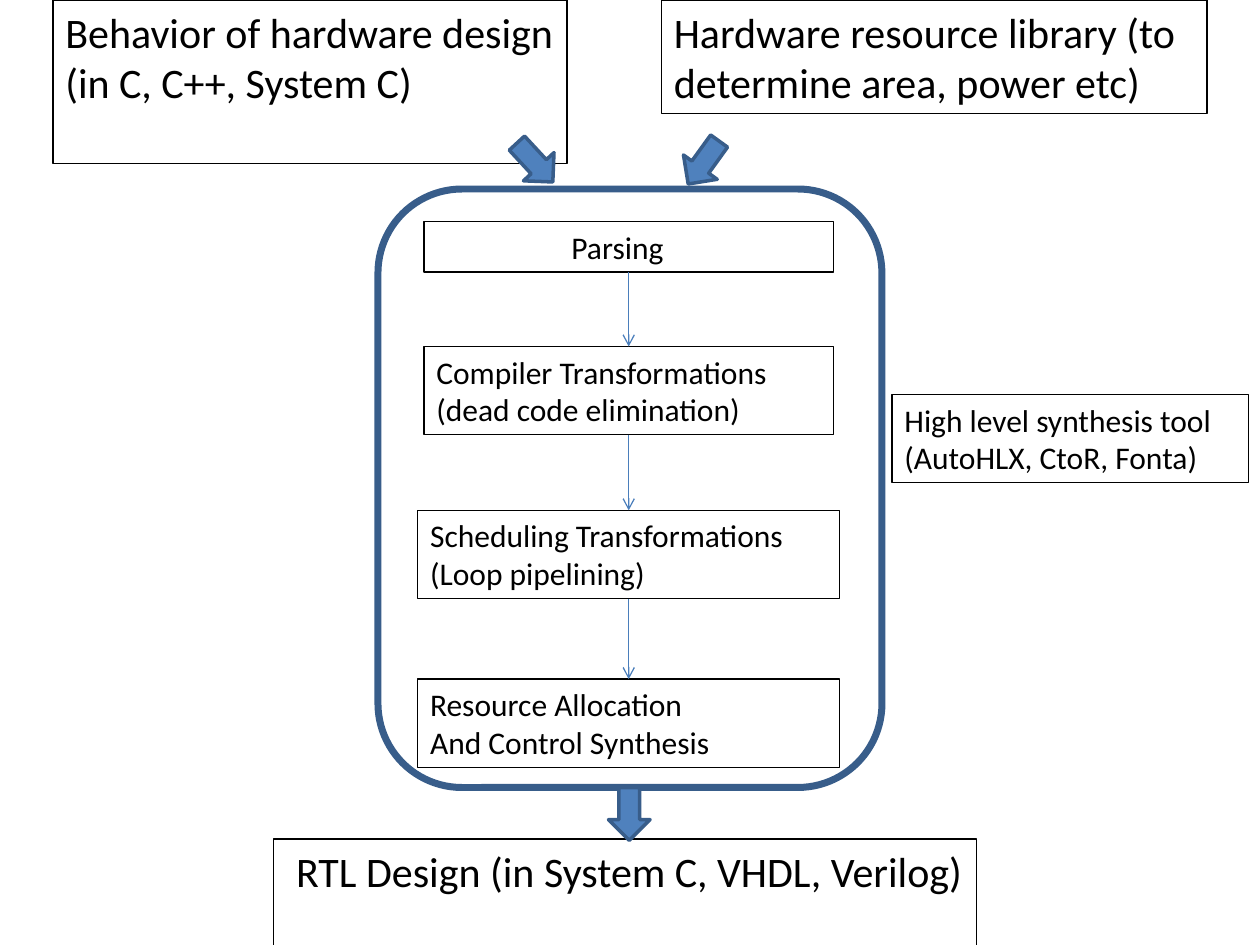
import pptx
import pptx.util
from lxml import etree
from pptx.dml.color import RGBColor
from pptx.enum.shapes import MSO_CONNECTOR, MSO_SHAPE
from pptx.enum.text import MSO_ANCHOR, PP_ALIGN
from pptx.oxml.ns import qn

Inches, Pt = pptx.util.Inches, pptx.util.Pt

COLORS = {"ink": "000000", "frame": "385D8A", "arrow": "4F81BD", "link": "4A7EBB"}
FONT = "Calibri"
W, H = 10, 7.5
AXIS = 4.99  # centre of the flow of steps
FRAME = (0.3 * W, 0.2 * H, 0.4 * W, 4.75)

# lines, (left, top, width, height), text size, left indent
NOTES = [
    (["Behavior of hardware design", "(in C, C++, System C)"], (0.42, 0, 4.08, 1.3), 24, 0),
    (["Hardware resource library (to determine area, power etc)"], (5.25, 0, 4.33, 0.9), 24, 0),
    (["High level synthesis tool (AutoHLX, CtoR, Fonta)"], (7.08, 3.13, 2.83, 0.7), 18, 0),
    (["RTL Design (in System C, VHDL, Verilog)"], (2.17, 6.66, 5.58, 0.9), 24, 0.08),
]
# lines, top, width, height, left indent
STEPS = [
    (["Parsing"], 1.76, 3.25, 0.4, 1.07),
    (["Compiler Transformations", "(dead code elimination)"], 2.75, 3.25, 0.7, 0),
    (["Scheduling Transformations", "(Loop pipelining)"], 4.05, 3.35, 0.7, 0),
    (["Resource Allocation", "And Control Synthesis"], 5.39, 3.35, 0.7, 0),
]
# left, top, rotation
BLOCK_ARROWS = [(4.08, 1.08, 317.3), (5.42, 1.08, 35.8), (4.83, 6.25, 0)]


def color(name):
    return RGBColor.from_string(COLORS[name])


def add_shape(slide, kind, box, line, width, fill=None):
    sp = slide.shapes.add_shape(kind, *map(Inches, box))
    sp.shadow.inherit = False
    if fill:
        sp.fill.solid()
        sp.fill.fore_color.rgb = color(fill)
    else:
        sp.fill.background()
    sp.line.color.rgb = color(line)
    sp.line.width = Pt(width)
    return sp


def add_box(slide, lines, box, size, indent):
    sp = add_shape(slide, MSO_SHAPE.RECTANGLE, box, "ink", 0.75)
    tf = sp.text_frame
    tf.word_wrap = True
    tf.vertical_anchor = MSO_ANCHOR.TOP
    tf.margin_left = Inches(0.1 + indent)
    tf.text = "\n".join(lines)
    for p in tf.paragraphs:
        p.alignment = PP_ALIGN.LEFT
        p.font.name, p.font.size = FONT, Pt(size)
        p.font.color.rgb = color("ink")


def add_link(slide, top, bottom):
    cx = slide.shapes.add_connector(
        MSO_CONNECTOR.STRAIGHT, *map(Inches, (AXIS, top, AXIS, bottom)))
    cx.line.color.rgb = color("link")
    cx.line.width = Pt(0.75)
    etree.SubElement(cx.line._get_or_add_ln(), qn("a:tailEnd"), type="arrow")
    etree.SubElement(cx._element.spPr, qn("a:effectLst"))


def main():
    prs = pptx.Presentation()
    prs.slide_width, prs.slide_height = Inches(W), Inches(H)
    slide = prs.slides.add_slide(prs.slide_layouts[6])

    add_shape(slide, MSO_SHAPE.ROUNDED_RECTANGLE, FRAME, "frame", 4)
    for note in NOTES:
        add_box(slide, *note)
    for lines, top, width, height, indent in STEPS:
        add_box(slide, lines, (AXIS - width / 2, top, width, height), 18, indent)
    for (_, top, _, height, _), following in zip(STEPS, STEPS[1:]):
        add_link(slide, top + height, following[1])
    for left, top, rotation in BLOCK_ARROWS:
        sp = add_shape(slide, MSO_SHAPE.DOWN_ARROW, (left, top, 0.33, 0.42),
                       "frame", 2, "arrow")
        sp.rotation = rotation

    prs.save("out.pptx")


if __name__ == "__main__":
    main()
